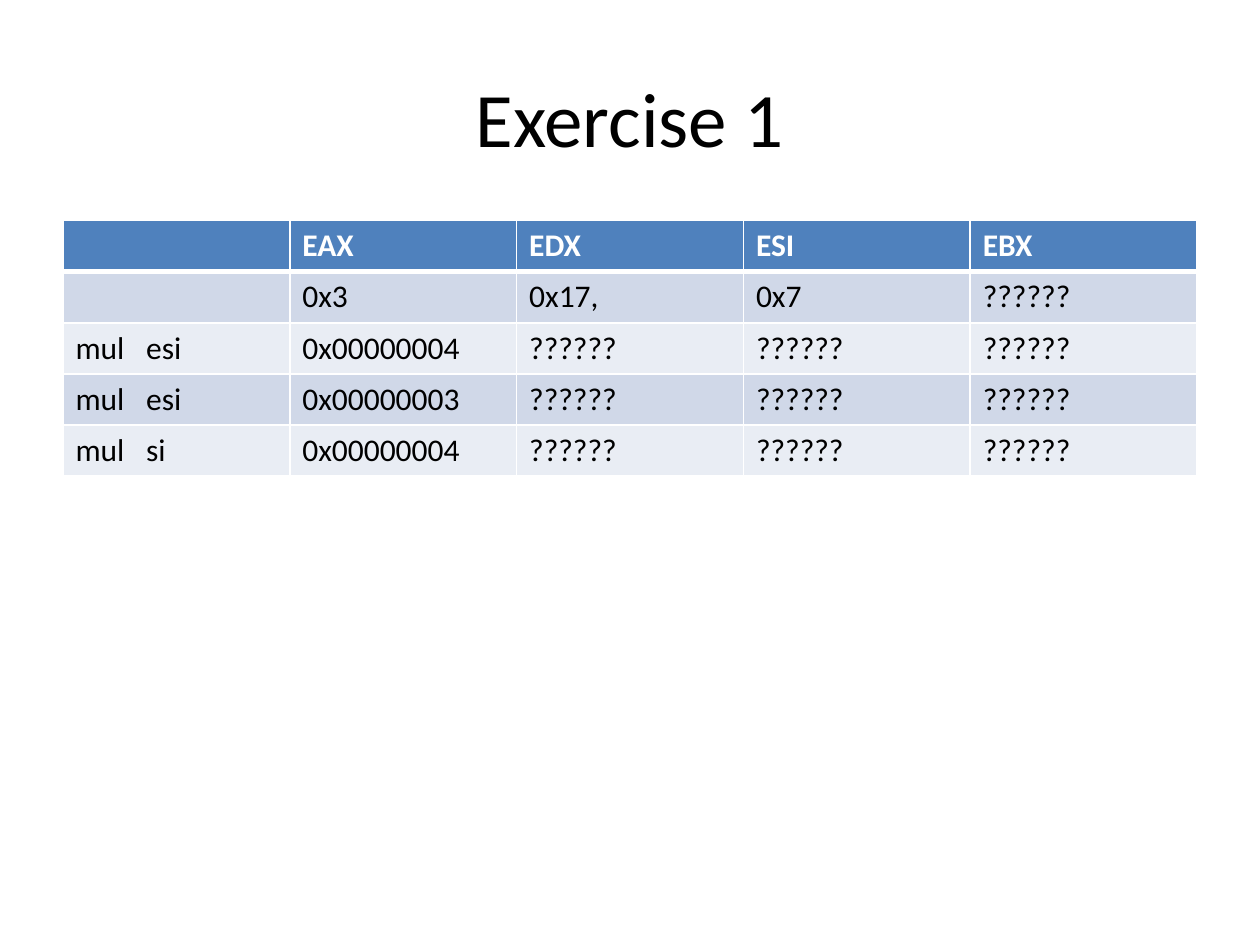
from dataclasses import dataclass

from lxml import etree
from pptx import Presentation
from pptx.dml.color import RGBColor
from pptx.enum.text import MSO_ANCHOR, PP_ALIGN
from pptx.oxml.ns import qn
from pptx.slide import Slide
from pptx.util import Inches, Pt

CENTER, LEFT = PP_ALIGN.CENTER, PP_ALIGN.LEFT
MIDDLE = MSO_ANCHOR.MIDDLE
TITLE_ONLY = 5

COLORS = {
    "text": "000000",
    "white": "FFFFFF",
    "header": "4F81BD",
    "band_dark": "D0D8E8",
    "band_light": "E9EDF4",
}
UNKNOWN = "??????"
REGISTER_ROWS = [
    ["", "EAX", "EDX", "ESI", "EBX"],
    ["", "0x3", "0x17,", "0x7", UNKNOWN],
    ["mul\tesi", "0x00000004", UNKNOWN, UNKNOWN, UNKNOWN],
    ["mul\tesi", "0x00000003", UNKNOWN, UNKNOWN, UNKNOWN],
    ["mul\tsi", "0x00000004", UNKNOWN, UNKNOWN, UNKNOWN],
]


def write_text(frame, text, *, font, size, color="text", bold=False, align=LEFT):
    para = frame.paragraphs[0]
    para.alignment = align
    para.font.size = Pt(size)
    if not text:
        return
    span = para.add_run()
    span.text = text
    span.font.name = font
    span.font.size = Pt(size)
    span.font.bold = bold
    span.font.color.rgb = RGBColor.from_string(COLORS[color])


def add_tab_stop(para, position):
    properties = para._p.get_or_add_pPr()
    stops = etree.Element(qn("a:tabLst"))
    etree.SubElement(stops, qn("a:tab"), pos=str(position), algn="l")
    properties.insert(0, stops)


def set_borders(cell, widths, color):
    """Draw the left, right, top and bottom borders, with widths in points."""
    properties = cell._tc.get_or_add_tcPr()
    for index, (side, width) in enumerate(zip("LRTB", widths)):
        line = etree.Element(qn(f"a:ln{side}"), w=str(Pt(width)))
        fill = etree.SubElement(line, qn("a:solidFill"))
        etree.SubElement(fill, qn("a:srgbClr"), val=COLORS[color])
        properties.insert(index, line)


@dataclass
class SlideBuilder:
    slide: Slide
    font: str = "Calibri"
    title_size: int = 44
    table_size: int = 18

    def title(self, text, left, top, width, height):
        box = self.slide.shapes.title
        box.left, box.top = Inches(left), Inches(top)
        box.width, box.height = Inches(width), Inches(height)
        box.text_frame.vertical_anchor = MIDDLE
        write_text(box.text_frame, text, font=self.font,
                   size=self.title_size, align=CENTER)

    def table(self, rows, left, top, width, height):
        table = self.slide.shapes.add_table(
            len(rows), len(rows[0]), Inches(left), Inches(top),
            Inches(width), Inches(height)).table
        for row_index, values in enumerate(rows):
            for column_index, text in enumerate(values):
                self.cell(table.cell(row_index, column_index), text, row_index)

    def cell(self, cell, text, row_index):
        is_header = row_index == 0
        band = "band_dark" if row_index % 2 else "band_light"
        cell.fill.solid()
        cell.fill.fore_color.rgb = RGBColor.from_string(
            COLORS["header" if is_header else band])
        top_width = 3 if row_index == 1 else 1
        set_borders(cell, (1, 1, top_width, 3 if is_header else 1), "white")
        write_text(cell.text_frame, text, font=self.font, size=self.table_size,
                   color="white" if is_header else "text", bold=is_header)
        if "\t" in text:
            add_tab_stop(cell.text_frame.paragraphs[0], Inches(0.56))


def main():
    deck = Presentation()
    deck.slide_width, deck.slide_height = Inches(10), Inches(7.5)
    page = SlideBuilder(deck.slides.add_slide(deck.slide_layouts[TITLE_ONLY]))
    page.title("Exercise 1", 0.5, 0.3, 9, 1.25)
    page.table(REGISTER_ROWS, 0.5, 1.75, 9, 2.03)
    deck.save("out.pptx")


if __name__ == "__main__":
    main()
